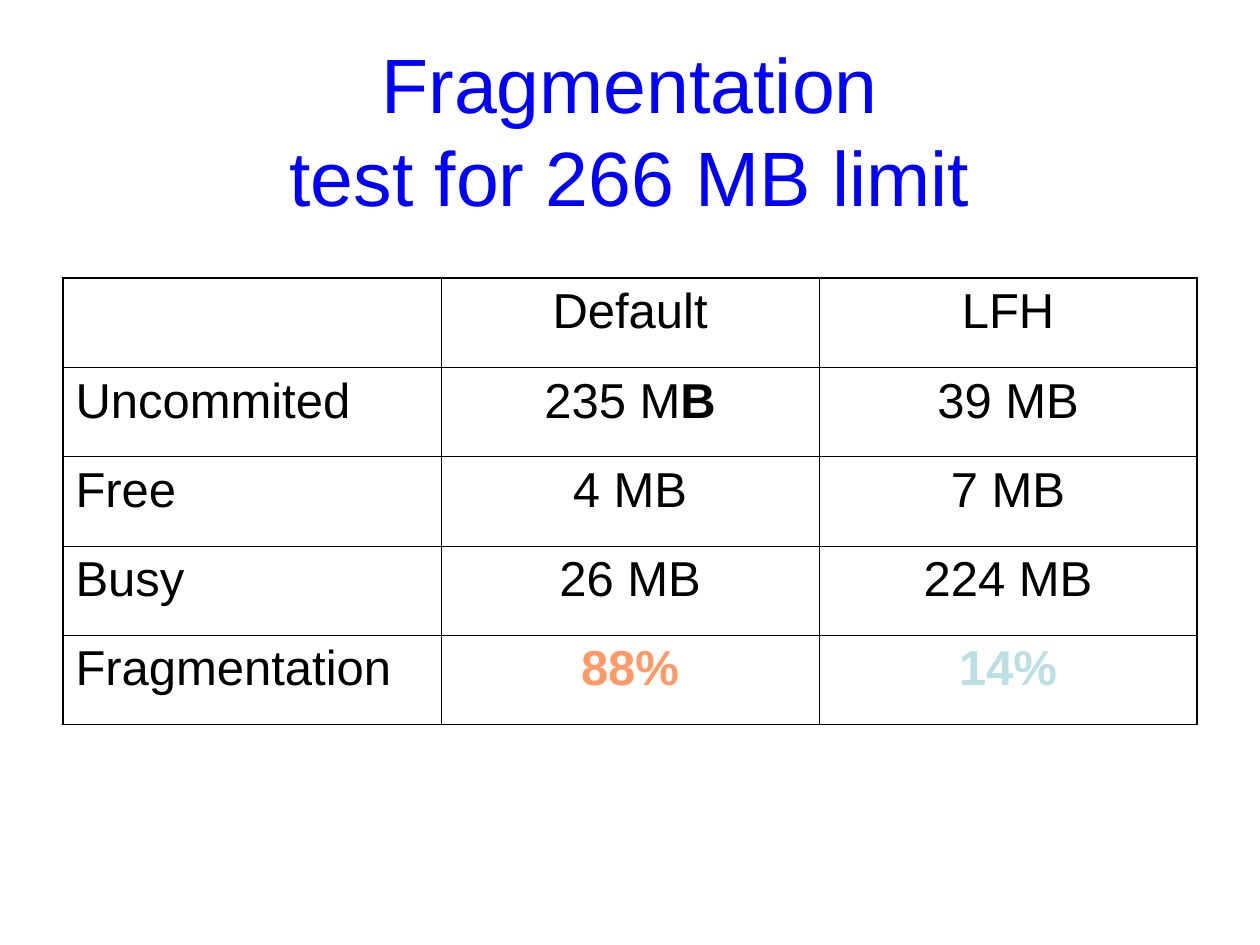
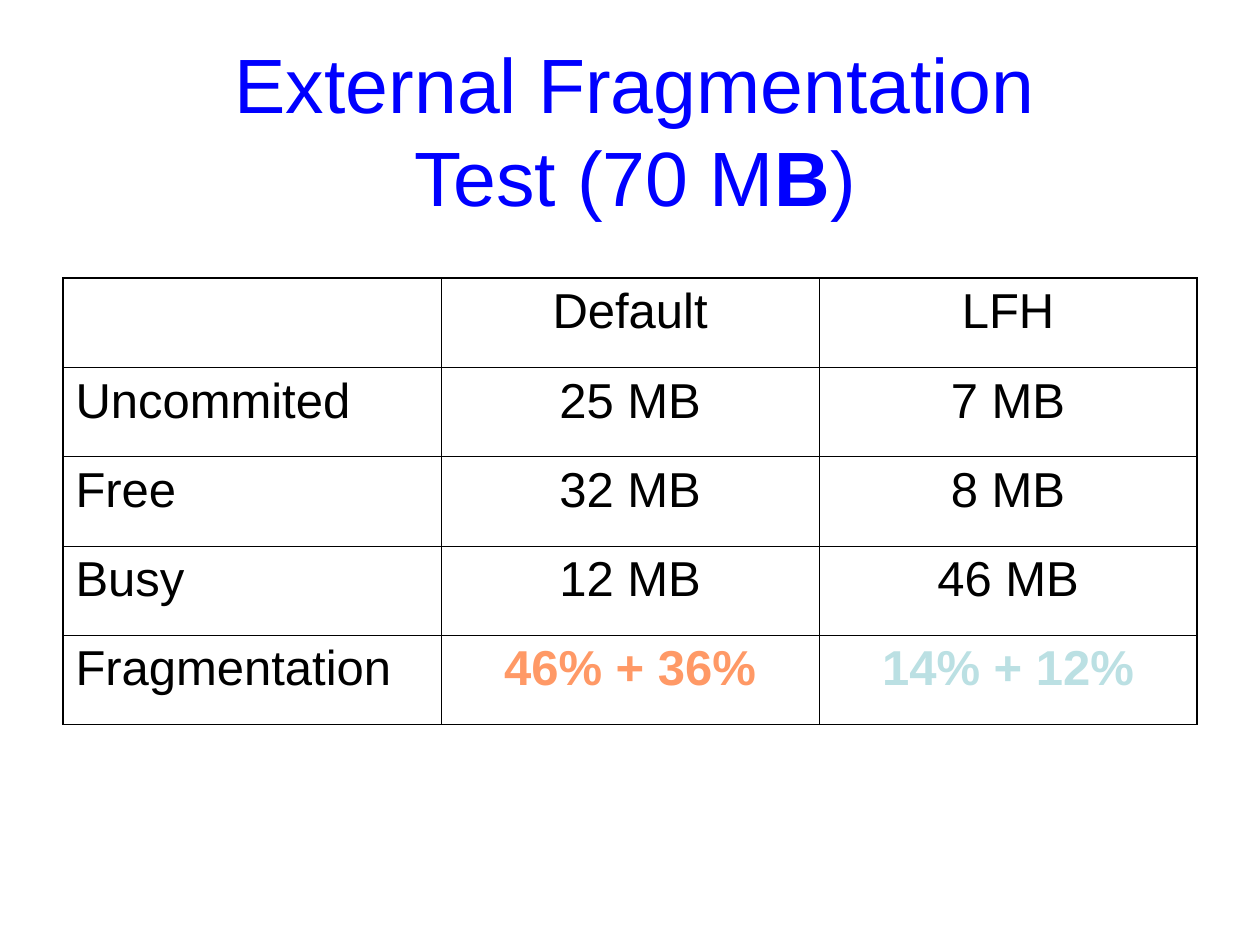
from dataclasses import dataclass

from lxml import etree
from pptx import Presentation
from pptx import util as u
from pptx.dml.color import RGBColor
from pptx.enum import text
from pptx.oxml import ns


@dataclass(frozen=True)
class Theme:
    font: str = "Arial"
    title_size: int = 44
    cell_size: int = 28
    title_color: str = "0000FF"
    ink: str = "000000"
    default_accent: str = "FF9966"
    lfh_accent: str = "BBE0E3"
    outer_line: float = 1.08
    inner_line: float = 0.45


THEME = Theme()

# Table layout, in points
LEFT = 36
TABLE_TOP = 159
COLUMN_WIDTH = 216
ROW_HEIGHT = 51

# Shared table labels
HEADINGS = ["", "Default", "LFH"]
ROW_LABELS = ["Uncommited", "Free", "Busy", "Fragmentation"]


def write(paragraph, content, size, color, align, bold=False):
    """Fill a paragraph; *stars* mark bold parts, \\n is a line break."""
    paragraph.alignment = align
    font = paragraph.font
    font.name, font.size, font.bold = THEME.font, u.Pt(size), bold
    font.color.rgb = RGBColor.from_string(color)
    for part_index, part in enumerate(content.split("*")):
        for line_index, line in enumerate(part.split("\n")):
            if line_index:
                paragraph.add_line_break()
            if line:
                run = paragraph.add_run()
                run.text = line
                if part_index % 2:
                    run.font.bold = True


def add_title(slide, content, width):
    box = slide.shapes.add_textbox(u.Pt(LEFT), u.Pt(21.6), u.Pt(width), u.Pt(104.4))
    frame = box.text_frame
    frame.word_wrap = True
    frame.vertical_anchor = text.MSO_ANCHOR.MIDDLE
    write(frame.paragraphs[0], content, THEME.title_size, THEME.title_color,
          text.PP_ALIGN.CENTER)


def set_borders(cell, outer_sides):
    """Draw all four cell sides, heavier where they meet the table edge."""
    properties = cell._tc.get_or_add_tcPr()
    for side in "LRTB":
        width = THEME.outer_line if side in outer_sides else THEME.inner_line
        line = etree.SubElement(properties, ns.qn(f"a:ln{side}"), w=str(u.Pt(width)))
        fill = etree.SubElement(line, ns.qn("a:solidFill"))
        etree.SubElement(fill, ns.qn("a:srgbClr"), val=THEME.ink)


def add_results_table(slide, results):
    rows = [HEADINGS] + [[label, *values] for label, values in zip(ROW_LABELS, results)]
    last_row, last_column = len(rows) - 1, len(HEADINGS) - 1
    table = slide.shapes.add_table(
        len(rows), len(HEADINGS), u.Pt(LEFT), u.Pt(TABLE_TOP),
        u.Pt(COLUMN_WIDTH * len(HEADINGS)), u.Pt(ROW_HEIGHT * len(rows))).table
    table.first_row = table.horz_banding = False
    accents = [THEME.ink, THEME.default_accent, THEME.lfh_accent]

    for row_index, row in enumerate(rows):
        for column_index, content in enumerate(row):
            cell = table.cell(row_index, column_index)
            edges = {"L": column_index == 0, "R": column_index == last_column,
                     "T": row_index == 0, "B": row_index == last_row}
            set_borders(cell, [side for side, is_outer in edges.items() if is_outer])
            cell.fill.background()

            # The bottom row stresses its values in the column's accent
            stressed = row_index == last_row and column_index > 0
            color = accents[column_index] if stressed else THEME.ink
            align = text.PP_ALIGN.CENTER if column_index else text.PP_ALIGN.LEFT
            paragraph = cell.text_frame.paragraphs[0]
            paragraph.space_before = u.Pt(7)
            write(paragraph, content, THEME.cell_size, color, align, stressed)


def add_results_slide(presentation, title, results, title_width=648):
    slide = presentation.slides.add_slide(presentation.slide_layouts[6])
    add_title(slide, title, title_width)
    add_results_table(slide, results)


def main():
    presentation = Presentation()
    presentation.slide_width, presentation.slide_height = u.Pt(720), u.Pt(540)

    # Test with the 266 MB limit
    add_results_slide(presentation, "Fragmentation\ntest for 266 MB limit", [
        ("235 M*B*", "39 MB"),
        ("4 MB", "7 MB"),
        ("26 MB", "224 MB"),
        ("88%", "14%"),
    ])

    # External fragmentation test
    add_results_slide(presentation, "External Fragmentation\nTest (70 M*B*)", [
        ("25 MB", "7 MB"),
        ("32 MB", "8 MB"),
        ("12 MB", "46 MB"),
        ("46% + 36%", "14% + 12%"),
    ], title_width=654)

    presentation.save("out.pptx")


if __name__ == "__main__":
    main()
